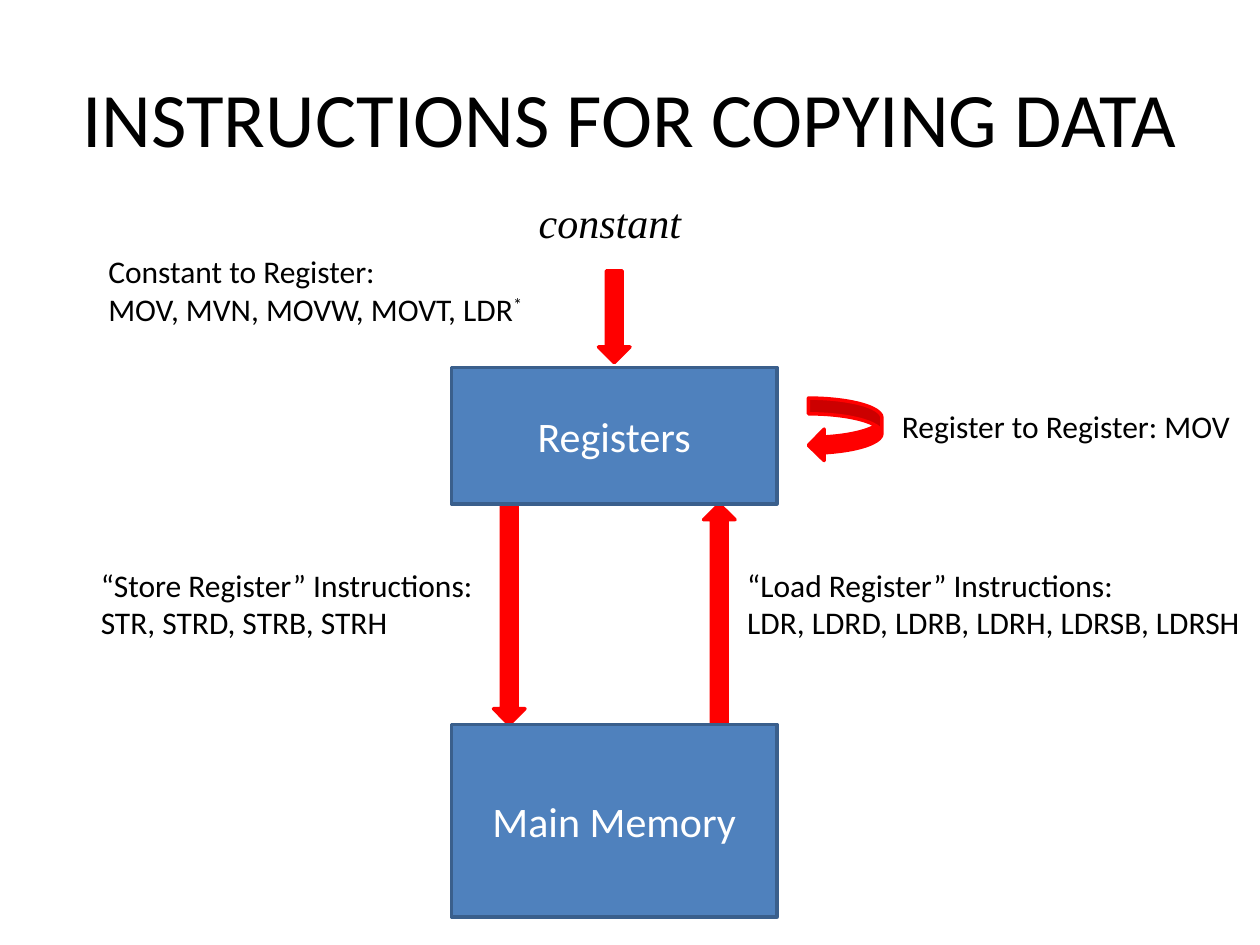
import pptx
import pptx.util
import pptx.dml.color
import pptx.enum.shapes
import pptx.enum.text

Pt = pptx.util.Pt
RGB = pptx.dml.color.RGBColor
Kind = pptx.enum.shapes.MSO_SHAPE
Align = pptx.enum.text.PP_ALIGN
Mid = pptx.enum.text.MSO_ANCHOR.MIDDLE
Fit = pptx.enum.text.MSO_AUTO_SIZE

BLACK = RGB(0x00, 0x00, 0x00)
WHITE = RGB(0xFF, 0xFF, 0xFF)
RED = RGB(0xFF, 0x00, 0x00)
BLUE = RGB(0x4F, 0x81, 0xBD)
NAVY = RGB(0x3A, 0x5F, 0x8C)


def write(frame, text, size=18, font="Calibri", color=BLACK,
          align=Align.LEFT, italic=False, sup=""):
    """Fill a frame, one paragraph a line; sup is raised after the last."""
    for i, line in enumerate(text.split("\n")):
        para = frame.paragraphs[0] if i == 0 else frame.add_paragraph()
        para.alignment = align
        para.add_run().text = line
    if sup:
        run = para.add_run()
        run.text = sup
        run._r.get_or_add_rPr().set("baseline", "30000")
    for para in frame.paragraphs:
        for run in para.runs:
            run.font.size = Pt(size)
            run.font.name = font
            run.font.color.rgb = color
            run.font.italic = italic


class Deck:
    def __init__(self, wide, high):
        self.show = pptx.Presentation()
        self.show.slide_width = Pt(wide)
        self.show.slide_height = Pt(high)
        self.slide = self.show.slides.add_slide(self.show.slide_layouts[6])

    def shape(self, kind, box, fill, edge):
        item = self.slide.shapes.add_shape(kind, *map(Pt, box))
        item.shadow.inherit = False
        item.fill.solid()
        item.fill.fore_color.rgb = fill
        item.line.color.rgb = edge
        item.line.width = Pt(2)
        return item

    def arrow(self, kind, *box):
        return self.shape(kind, box, RED, RED)

    def block(self, text, *box):
        frame = self.shape(Kind.RECTANGLE, box, BLUE, NAVY).text_frame
        frame.vertical_anchor = Mid
        write(frame, text, size=24, color=WHITE, align=Align.CENTER)

    def head(self, text, *box, **style):
        frame = self.slide.shapes.add_textbox(*map(Pt, box)).text_frame
        frame.word_wrap = True
        frame.vertical_anchor = Mid
        write(frame, text, align=Align.CENTER, **style)

    def label(self, text, *box, inset=0, **style):
        frame = self.slide.shapes.add_textbox(*map(Pt, box)).text_frame
        frame.word_wrap = False
        frame.auto_size = Fit.SHAPE_TO_FIT_TEXT
        frame.margin_left = Pt(7.2 + inset)
        write(frame, text, **style)


def main():
    deck = Deck(720, 540)
    deck.head("INSTRUCTIONS FOR COPYING DATA", 36, 21.6, 648, 90, size=44)

    # Constant to register
    deck.arrow(Kind.DOWN_ARROW, 342, 154.8, 18, 52.5)
    deck.head("constant", 255.6, 108.7, 185.8, 36,
              size=24, font="Times New Roman", italic=True)
    deck.label("Constant to Register:\nMOV, MVN, MOVW, MOVT, LDR",
               18.7, 140.4, 290.9, 51, inset=36, sup="*")

    # Memory to register
    deck.arrow(Kind.UP_ARROW, 402, 288, 18, 126)
    deck.label("“Load Register” Instructions:\n"
               "LDR, LDRD, LDRB, LDRH, LDRSB, LDRSH",
               383.8, 319.7, 336.2, 51, inset=36)

    # Register to register
    deck.arrow(Kind.CURVED_LEFT_ARROW, 462, 227.5, 42, 36)
    deck.label("Register to Register: MOV", 508.3, 229, 203.8, 28.8)

    # Register to memory
    deck.arrow(Kind.DOWN_ARROW, 282, 288, 18, 126)
    deck.label("“Store Register” Instructions:\nSTR, STRD, STRB, STRH",
               18.7, 319.7, 264.2, 51, inset=31.7)

    # Storage blocks
    deck.block("Main Memory", 258, 414, 186, 110)
    deck.block("Registers", 258, 210, 186, 78)

    deck.show.save("out.pptx")


if __name__ == "__main__":
    main()
